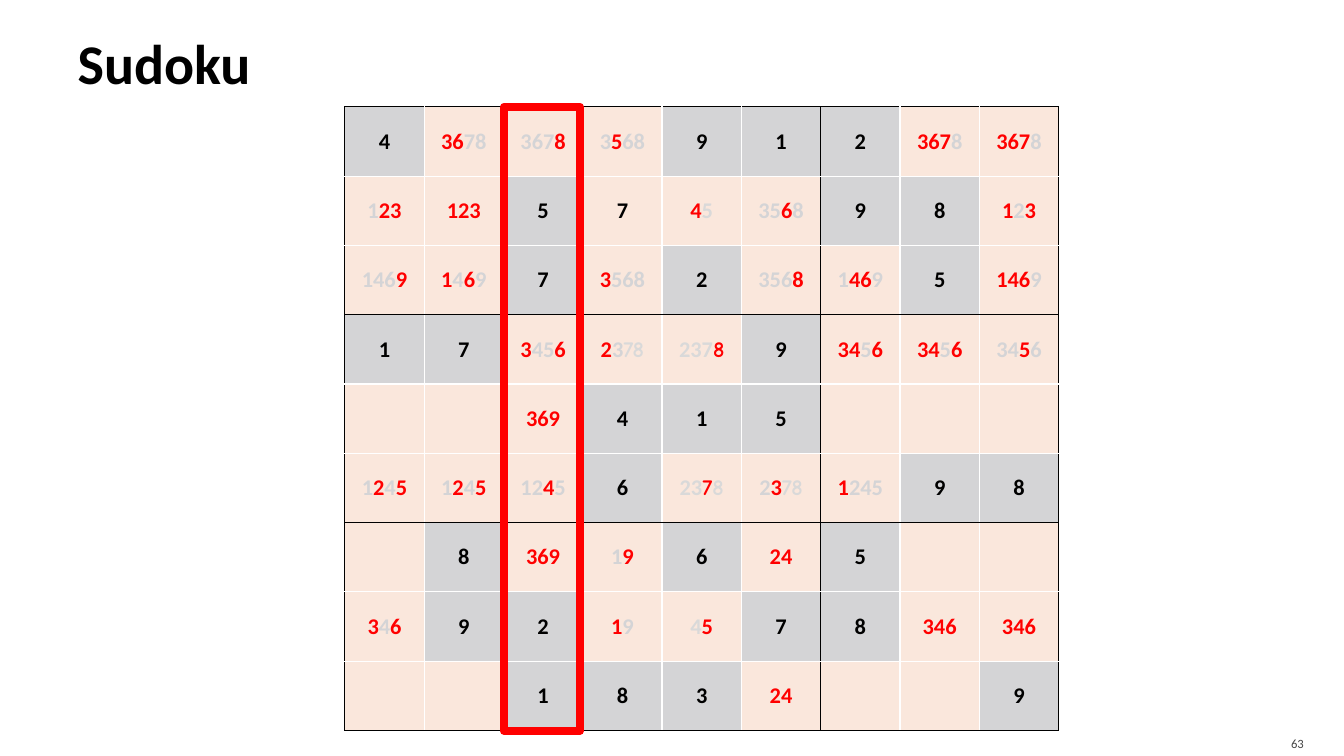
from lxml import etree
from pptx import Presentation
from pptx.dml.color import RGBColor
from pptx.enum.shapes import MSO_SHAPE
from pptx.enum.text import MSO_ANCHOR, PP_ALIGN
from pptx.oxml.ns import qn
from pptx.util import Inches, Pt

HEX = {"black": "000000", "white": "FFFFFF", "red": "FF0000", "dim": "D4D4D6",
       "pale": "D9D9D9", "peach": "FAE7DC", "slate": "454545"}
SANS, COMIC = "Calibri", "Comic Neue"

# Code before each group of digits: colour and font; g marks a given digit.
STYLES = {"g": ("black", SANS), "k": ("black", SANS), "r": ("red", SANS),
          "d": ("dim", SANS), "p": ("pale", SANS),
          "R": ("red", COMIC), "P": ("pale", COMIC)}

# Cells are split by spaces, groups by hyphens; a dot is an empty cell.
GRID = """
g4 r36-d78 d367-r8 d3-r5-d68 g9 g1 g2 r367-d8 r367-d8
d1-r23 r123 g5 k7 r4-p5 d35-r6-d8 g9 g8 r1-d2-r3
d146-r9 r1-d4-r6-d9 g7 r3-d568 g2 d356-r8 d1-r46-d9 g5 r146-d9
g1 g7 r3-d45-r6 r2-d3-P78 p237-R8 g9 r34-d5-r6 r34-d5-r6 d34-r5-d6
. . r369 g4 g1 g5 . . .
d1-r2-d4-r5 d1-r2-d4-r5 d12-r4-d5 g6 p23-R7-P8 d2-r3-P78 r1-d245 g9 g8
. g8 r369 d1-r9 g6 r24 g5 . .
r3-d4-r6 g9 g2 r1-d9 p4-r5 g7 g8 r346 r346
. . g1 g8 g3 r24 . . g9
"""
LEFT, TOP, WIDTH, HEIGHT = 3.42, 1.06, 7.08, 6.19


def color(name):
    return RGBColor.from_string(HEX[name])


def write(para, text, size=16, font=SANS, ink="black", bold=False, align=PP_ALIGN.LEFT):
    para.alignment = align
    run = para.add_run()
    run.text = text
    run.font.size = Pt(size)
    run.font.name = font
    run.font.bold = bold
    run.font.color.rgb = color(ink)


def set_frame(frame, left, top, right, bottom):
    frame.word_wrap = True
    frame.vertical_anchor = MSO_ANCHOR.MIDDLE
    frame.margin_left, frame.margin_top = Inches(left), Inches(top)
    frame.margin_right, frame.margin_bottom = Inches(right), Inches(bottom)


def place(shape, left, top, width, height):
    shape.left, shape.top = Inches(left), Inches(top)
    shape.width, shape.height = Inches(width), Inches(height)


def add_edges(cell, row, col):
    """Black lines around each 3 by 3 box, white lines within."""
    heavy = {"a:lnL": col % 3 == 0, "a:lnR": col % 3 == 2,
             "a:lnT": row % 3 == 0, "a:lnB": row % 3 == 2}
    props = cell._tc.get_or_add_tcPr()
    for spot, (tag, black) in enumerate(heavy.items()):
        line = etree.Element(qn(tag), w=str(Pt(1)))
        fill = etree.SubElement(line, qn("a:solidFill"))
        etree.SubElement(fill, qn("a:srgbClr"), val=HEX["black" if black else "white"])
        props.insert(spot, line)


def fill_cell(cell, code):
    cell.vertical_anchor = MSO_ANCHOR.MIDDLE
    cell.fill.solid()
    cell.fill.fore_color.rgb = color("dim" if code[0] == "g" else "peach")
    if code == ".":
        return
    para = cell.text_frame.paragraphs[0]
    for group in code.split("-"):
        ink, font = STYLES[group[0]]
        write(para, group[1:], font=font, ink=ink, bold=True, align=PP_ALIGN.CENTER)


def add_title(slide, text):
    title = slide.shapes.title
    place(title, 0.67, 0.08, 12, 1.08)
    set_frame(title.text_frame, 0.1, 0.05, 0.05, 0.05)
    write(title.text_frame.paragraphs[0], text, size=40, bold=True)


def add_number(slide, text):
    box = slide.shapes.add_textbox(Inches(11.96), Inches(7.2), Inches(1.07), Inches(0.3))
    set_frame(box.text_frame, 0.1, 0.05, 0.1, 0)
    write(box.text_frame.paragraphs[0], text, size=9, ink="slate", align=PP_ALIGN.RIGHT)


def add_board(slide):
    rows = [line.split() for line in GRID.strip().splitlines()]
    table = slide.shapes.add_table(9, 9, Inches(LEFT), Inches(TOP),
                                   Inches(WIDTH), Inches(HEIGHT)).table
    for col in table.columns:
        col.width = Inches(WIDTH / 9)
    for r, codes in enumerate(rows):
        table.rows[r].height = Inches(HEIGHT / 9)
        for c, code in enumerate(codes):
            cell = table.cell(r, c)
            fill_cell(cell, code)
            add_edges(cell, r, c)


def add_marker(slide):
    box = slide.shapes.add_shape(MSO_SHAPE.RECTANGLE, Inches(5), Inches(TOP),
                                 Inches(0.75), Inches(HEIGHT))
    box.shadow.inherit = False
    box.fill.background()
    box.line.color.rgb = color("red")
    box.line.width = Pt(6)


def main():
    deck = Presentation()
    deck.slide_width, deck.slide_height = Inches(13.33), Inches(7.5)
    slide = deck.slides.add_slide(deck.slide_layouts[5])
    add_title(slide, "Sudoku")
    add_number(slide, "63")
    add_board(slide)
    add_marker(slide)
    deck.save("out.pptx")


if __name__ == "__main__":
    main()
